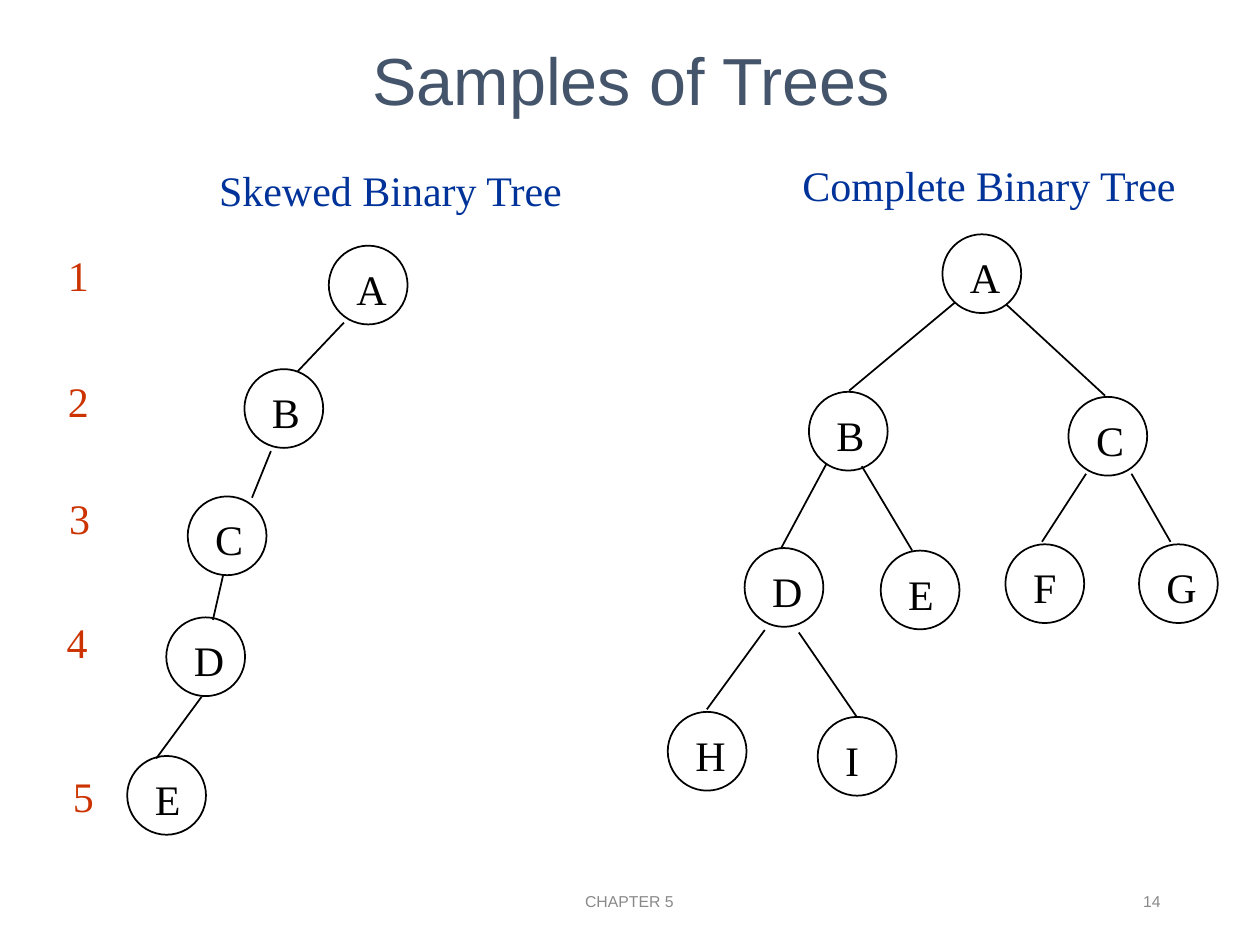
import pptx
import pptx.dml.color
import pptx.enum.shapes
import pptx.enum.text
import pptx.oxml.ns
import pptx.util
from lxml import etree

Inches = pptx.util.Inches
RGBColor = pptx.dml.color.RGBColor
ALIGN = pptx.enum.text.PP_ALIGN
AUTO_SIZE = pptx.enum.text.MSO_AUTO_SIZE

BLACK = RGBColor(0x00, 0x00, 0x00)
SLATE = RGBColor(0x44, 0x54, 0x6A)
GRAY = RGBColor(0x89, 0x89, 0x89)
BLUE = RGBColor(0x00, 0x33, 0x99)
RED = RGBColor(0xCC, 0x33, 0x00)

SANS = "Arial"
SERIF = "Times New Roman"
NODE_SIZE = 0.625
LABEL_HEIGHT = 0.5
LABEL_WIDTHS = {"A": 0.44, "B": 0.42, "C": 0.42, "D": 0.44, "E": 0.41,
                "F": 0.39, "G": 0.44, "H": 0.44, "I": 0.31}

# Each tree: nodes as (letter, left, top), edges as (x1, y1, x2, y2)
SKEWED_NODES = [("A", 2.61, 1.95), ("B", 1.94, 2.93), ("C", 1.49, 3.94),
                ("D", 1.32, 4.9), ("E", 1.01, 6)]
SKEWED_EDGES = [(2.73, 2.56, 2.36, 2.95), (2.15, 3.58, 2, 3.95),
                (1.77, 4.57, 1.69, 4.92), (1.6, 5.53, 1.24, 6.02)]
COMPLETE_NODES = [("A", 7.48, 1.86), ("B", 6.42, 3.11), ("C", 8.48, 3.15),
                  ("D", 5.91, 4.35), ("E", 6.99, 4.37), ("F", 7.98, 4.32),
                  ("G", 9.04, 4.32), ("H", 5.3, 5.65), ("I", 6.49, 5.69)]
COMPLETE_EDGES = [(7.58, 2.4, 6.74, 3.1), (7.99, 2.42, 8.77, 3.14),
                  (6.56, 3.68, 6.2, 4.35), (6.84, 3.7, 7.24, 4.37),
                  (8.62, 3.76, 8.27, 4.3), (8.98, 3.76, 9.29, 4.3),
                  (6.07, 5, 5.61, 5.63), (6.34, 5.02, 6.8, 5.69)]
LEVELS = [("1", 0.44, 1.93), ("2", 0.44, 2.93), ("3", 0.45, 3.86),
          ("4", 0.43, 4.84), ("5", 0.48, 6.07)]


def write_text(shape, text, font_name, size, color, align):
    text_frame = shape.text_frame
    text_frame.text = text
    paragraph = text_frame.paragraphs[0]
    paragraph.alignment = align
    font = paragraph.runs[0].font
    font.name = font_name
    font.size = pptx.util.Pt(size)
    font.color.rgb = color


def add_title(slide, text):
    title = slide.shapes.title
    title.left, title.top = Inches(0), Inches(0)
    title.width, title.height = Inches(10.02), Inches(1.25)
    write_text(title, text, SANS, 38, SLATE, ALIGN.CENTER)
    title.text_frame.vertical_anchor = pptx.enum.text.MSO_ANCHOR.MIDDLE


def add_label(shapes, text, left, top, width, color):
    box = shapes.add_textbox(Inches(left), Inches(top), Inches(width), Inches(LABEL_HEIGHT))
    write_text(box, text, SERIF, 24, color, ALIGN.LEFT)
    box.text_frame.word_wrap = False
    box.text_frame.auto_size = AUTO_SIZE.SHAPE_TO_FIT_TEXT


def add_footer(slide, text, left, width, align):
    box = slide.shapes.add_textbox(Inches(left), Inches(6.95), Inches(width), Inches(0.4))
    write_text(box, text, SANS, 9, GRAY, align)
    box.text_frame.word_wrap = True
    box.text_frame.vertical_anchor = pptx.enum.text.MSO_ANCHOR.MIDDLE


def style_line(line):
    line.color.rgb = BLACK
    line.width = pptx.util.Pt(1)


def add_node(slide, letter, left, top):
    group = slide.shapes.add_group_shape()
    circle = group.shapes.add_shape(
        pptx.enum.shapes.MSO_SHAPE.OVAL,
        Inches(left), Inches(top), Inches(NODE_SIZE), Inches(NODE_SIZE))
    circle.shadow.inherit = False
    circle.fill.background()
    style_line(circle.line)
    add_label(group.shapes, letter, left + 0.12, top + 0.09, LABEL_WIDTHS[letter], BLACK)


def add_edge(slide, x1, y1, x2, y2):
    edge = slide.shapes.add_connector(
        pptx.enum.shapes.MSO_CONNECTOR.STRAIGHT,
        Inches(x1), Inches(y1), Inches(x2), Inches(y2))
    style_line(edge.line)
    # An empty effect list removes the theme shadow
    etree.SubElement(edge._element.spPr, pptx.oxml.ns.qn("a:effectLst"))


def add_tree(slide, nodes, edges):
    for node in nodes:
        add_node(slide, *node)
    for edge in edges:
        add_edge(slide, *edge)


def main():
    presentation = pptx.Presentation()
    presentation.slide_width = Inches(10)
    presentation.slide_height = Inches(7.5)
    slide = presentation.slides.add_slide(presentation.slide_layouts[5])

    # Title and footer
    add_title(slide, "Samples of Trees")
    add_footer(slide, "CHAPTER 5", 3.31, 3.37, ALIGN.CENTER)
    add_footer(slide, "14", 7.06, 2.25, ALIGN.RIGHT)

    # Skewed tree with its level numbers
    add_label(slide.shapes, "Skewed Binary Tree", 1.64, 1.26, 2.94, BLUE)
    add_tree(slide, SKEWED_NODES, SKEWED_EDGES)
    for number, left, top in LEVELS:
        add_label(slide.shapes, number, left, top, 0.36, RED)

    # Complete tree
    add_label(slide.shapes, "Complete Binary Tree", 6.27, 1.22, 3.18, BLUE)
    add_tree(slide, COMPLETE_NODES, COMPLETE_EDGES)

    presentation.save("out.pptx")


if __name__ == "__main__":
    main()
